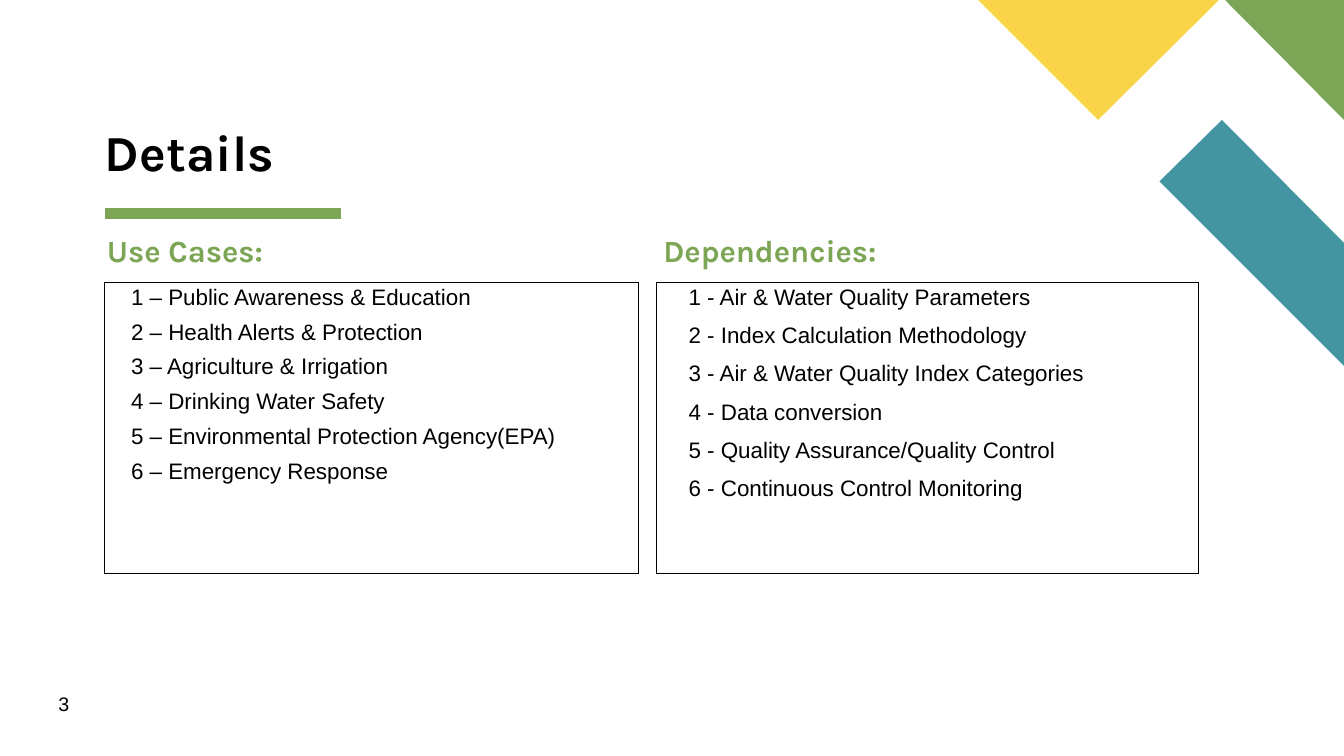
from dataclasses import dataclass

from lxml import etree
from pptx import Presentation
from pptx.dml.color import RGBColor
from pptx.enum.shapes import MSO_CONNECTOR, MSO_SHAPE
from pptx.enum.text import MSO_ANCHOR, MSO_AUTO_SIZE, PP_ALIGN
from pptx.oxml.ns import qn
from pptx.util import Inches, Pt

STRAIGHT = MSO_CONNECTOR.STRAIGHT
RECTANGLE = MSO_SHAPE.RECTANGLE
TOP, BOTTOM = MSO_ANCHOR.TOP, MSO_ANCHOR.BOTTOM
LEFT = PP_ALIGN.LEFT
NO_AUTOFIT = MSO_AUTO_SIZE.NONE

BLACK = RGBColor(0x00, 0x00, 0x00)
GREEN = RGBColor(0x7C, 0xA6, 0x55)
TEAL = RGBColor(0x44, 0x95, 0xA2)
YELLOW = RGBColor(0xF9, 0xD4, 0x48)
HEADING_FONT, BODY_FONT = "Karla", "Arial"

HEADING_TOP, BOX_TOP, BOX_HEIGHT = 2.3, 2.8, 2.89


@dataclass
class TextStyle:
    font: str
    size: float
    color: RGBColor
    bold: bool = False
    indent: float = 0
    hanging: float = 0
    space_before: float = 0
    line_spacing: float = 0.9


@dataclass
class Ornament:
    points: list[tuple[float, float]]
    color: RGBColor


@dataclass
class Column:
    heading: str
    heading_left: float
    box_left: float
    box_width: float
    separator: str
    items: list[str]
    item_style: TextStyle


TITLE_STYLE = TextStyle(HEADING_FONT, 36, BLACK, bold=True)
HEADING_STYLE = TextStyle(HEADING_FONT, 22, GREEN, bold=True, indent=0.19, hanging=0.19)
NUMBER_STYLE = TextStyle(BODY_FONT, 14, BLACK, line_spacing=1.0)

ORNAMENTS = [
    Ornament([(13.33, 3.63), (13.33, 2.41), (12.12, 1.19), (11.5, 1.8)], TEAL),
    Ornament([(13.33, 1.19), (13.33, 0), (12.15, 0)], GREEN),
    Ornament([(9.7, 0), (10.89, 1.19), (12.09, 0)], YELLOW),
]

COLUMNS = [
    Column("Use Cases:", 0.99, 1.04, 5.29, "–",
           ["Public Awareness & Education", "Health Alerts & Protection",
            "Agriculture & Irrigation", "Drinking Water Safety",
            "Environmental Protection Agency(EPA)", "Emergency Response"],
           TextStyle(BODY_FONT, 16, BLACK, indent=0.38, hanging=0.19, space_before=7.5)),
    Column("Dependencies:", 6.51, 6.51, 5.38, "-",
           ["Air & Water Quality Parameters", "Index Calculation Methodology",
            "Air & Water Quality Index Categories", "Data conversion",
            "Quality Assurance/Quality Control", "Continuous Control Monitoring"],
           TextStyle(BODY_FONT, 16, BLACK, indent=0.5, hanging=0.25, space_before=10)),
]


def write(shape, lines: list[str], style: TextStyle, anchor=TOP,
          margins: tuple[float, float] = (0.07, 0.04)) -> None:
    """Fill a shape with paragraphs; margins are horizontal, vertical."""
    frame = shape.text_frame
    frame.text = "\n".join(lines)
    frame.word_wrap = True
    frame.auto_size = NO_AUTOFIT
    frame.vertical_anchor = anchor
    frame.margin_left = frame.margin_right = Inches(margins[0])
    frame.margin_top = frame.margin_bottom = Inches(margins[1])
    for paragraph in frame.paragraphs:
        paragraph.alignment = LEFT
        paragraph.line_spacing = style.line_spacing
        paragraph.space_before = Pt(style.space_before)
        properties = paragraph._p.get_or_add_pPr()
        properties.set("marL", str(Inches(style.indent)))
        properties.set("indent", str(Inches(-style.hanging)))
        for run in paragraph.runs:
            run.font.name = style.font
            run.font.size = Pt(style.size)
            run.font.bold = style.bold
            run.font.color.rgb = style.color


def add_label(slide, text: str, left: float, top: float, width: float, height: float,
              style: TextStyle, margins: tuple[float, float] = (0.07, 0.04)) -> None:
    label = slide.shapes.add_textbox(Inches(left), Inches(top), Inches(width), Inches(height))
    write(label, [text], style, margins=margins)


def add_ornament(slide, ornament: Ornament) -> None:
    start, *rest = [(Inches(x), Inches(y)) for x, y in ornament.points]
    builder = slide.shapes.build_freeform(*start)
    builder.add_line_segments(rest, close=True)
    outline = builder.convert_to_shape()
    outline.shadow.inherit = False
    outline.fill.solid()
    outline.fill.fore_color.rgb = ornament.color
    outline.line.fill.background()


def add_title(slide, text: str) -> None:
    title = slide.shapes.title
    title.left, title.top = Inches(1.04), Inches(1.31)
    title.width, title.height = Inches(2.24), Inches(0.5)
    write(title, [text], TITLE_STYLE, anchor=BOTTOM, margins=(0, 0))


def add_title_rule(slide) -> None:
    rule = slide.shapes.add_connector(STRAIGHT, Inches(1.04), Inches(2.12),
                                      Inches(3.38), Inches(2.12))
    rule.line.color.rgb = GREEN
    rule.line.width = Pt(8)
    etree.SubElement(rule._element.spPr, qn("a:effectLst"))


def add_column(slide, column: Column) -> None:
    add_label(slide, column.heading, column.heading_left, HEADING_TOP, 4.2, 0.5, HEADING_STYLE)
    box = slide.shapes.add_shape(RECTANGLE, Inches(column.box_left), Inches(BOX_TOP),
                                 Inches(column.box_width), Inches(BOX_HEIGHT))
    box.shadow.inherit = False
    box.fill.background()
    box.line.color.rgb = BLACK
    box.line.width = Pt(0.75)
    lines = [f"{number} {column.separator} {item}"
             for number, item in enumerate(column.items, start=1)]
    write(box, lines, column.item_style)


def main() -> None:
    presentation = Presentation()
    presentation.slide_width, presentation.slide_height = Inches(13.33), Inches(7.5)
    slide = presentation.slides.add_slide(presentation.slide_layouts[5])

    # Decoration
    add_title_rule(slide)
    for ornament in ORNAMENTS:
        add_ornament(slide, ornament)

    # Title and the two lists
    add_title(slide, "Details")
    for column in COLUMNS:
        add_column(slide, column)

    # Slide number
    add_label(slide, "3", 0.58, 6.86, 0.7, 0.26, NUMBER_STYLE, margins=(0, 0))

    presentation.save("out.pptx")


if __name__ == "__main__":
    main()
